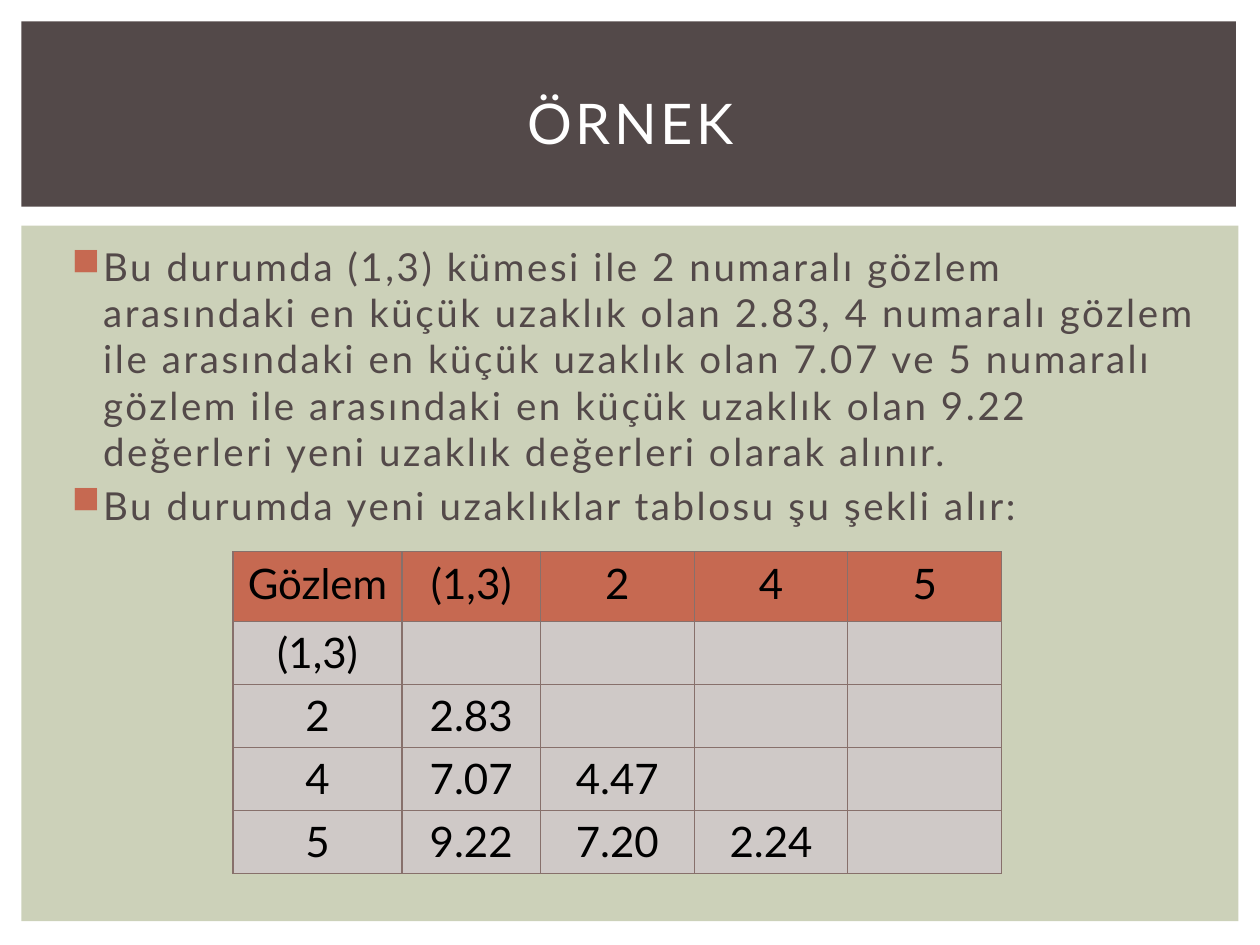
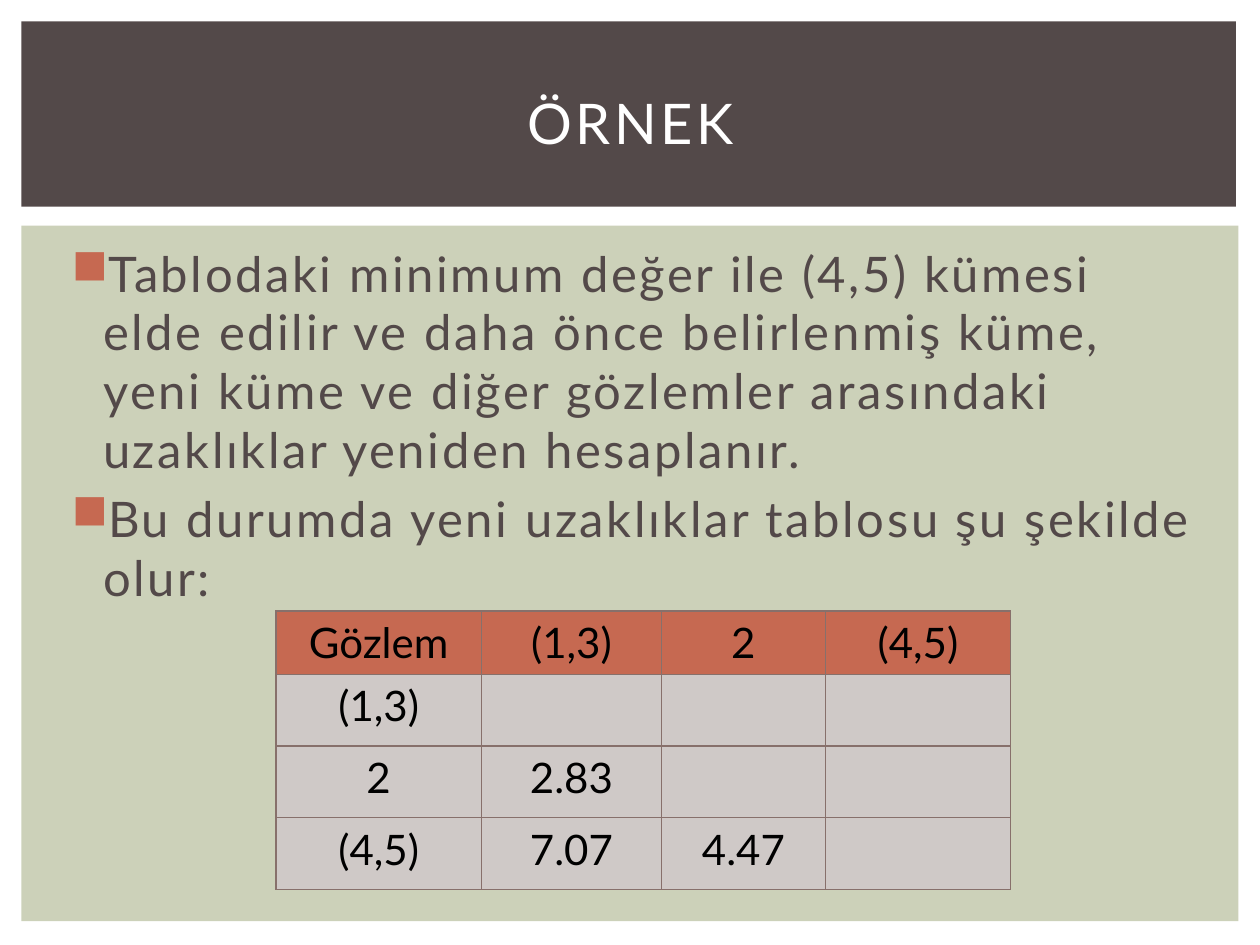
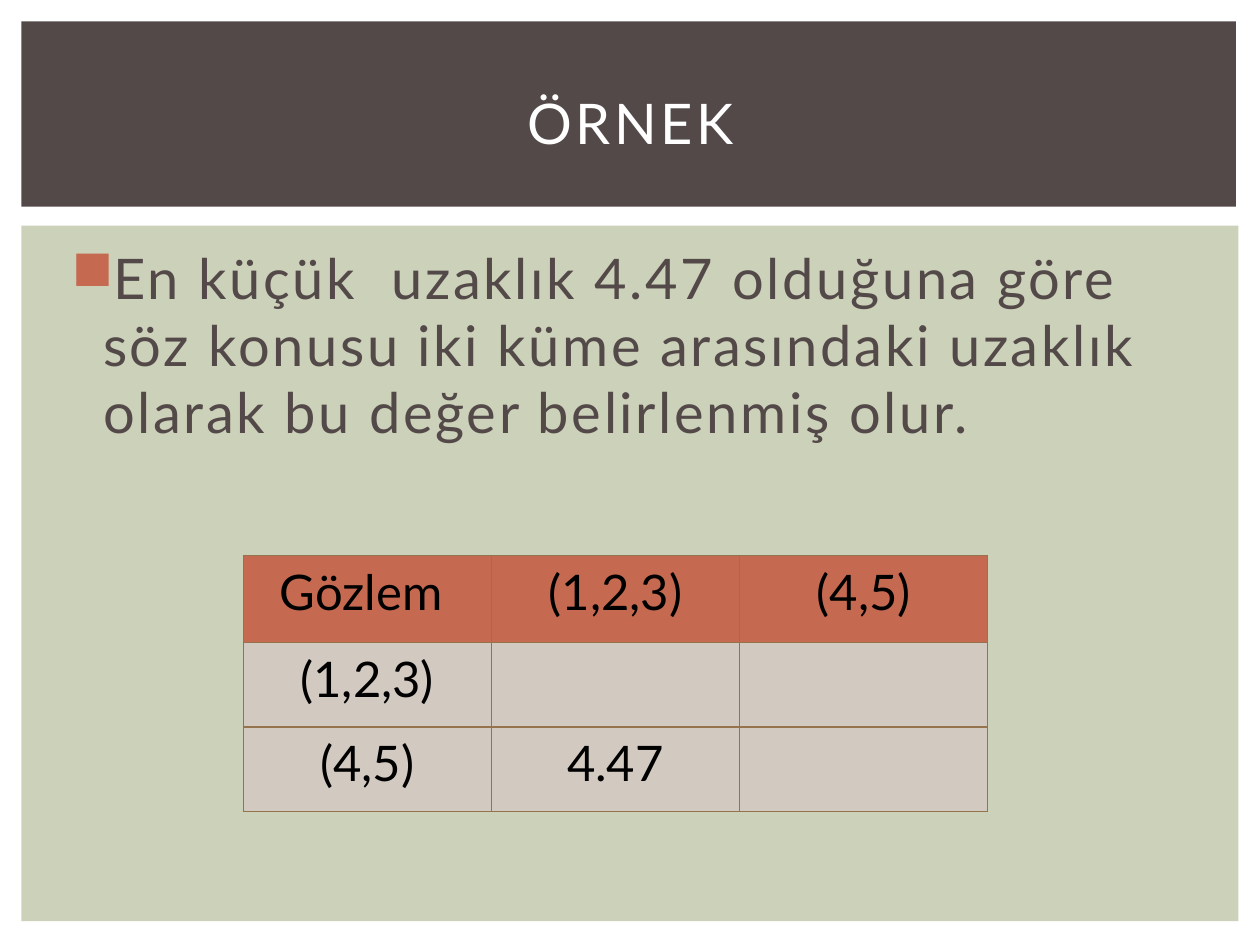
from lxml.etree import SubElement
from pptx import Presentation
from pptx.dml.color import RGBColor
from pptx.enum.shapes import MSO_SHAPE as Shape
from pptx.enum.text import MSO_ANCHOR as Anchor, PP_ALIGN as Align
from pptx.oxml.ns import qn
from pptx.util import Inches, Pt

FONT = "Lato"
COLORS = {
    "band": "534949",
    "panel": "CCD1B9",
    "accent": "C66951",
    "title": "FFFFFF",
    "body": "534949",
    "cell_text": "000000",
    "cell": "CFC9C7",
    "cell_warm": "D2C9C0",
    "border": "87706B",
    "border_warm": "94734E",
}
PANEL_BOX = (0.17, 1.79, 9.66, 5.52)
BAND_BOX = (0.17, 0.17, 9.64, 1.47)
BODY_BOX = (0.42, 1.88, 9.19, 4.82)
TITLE_BOX = (0.42, 0.39, 9.17, 1.15)


def color(name):
    """Return a named colour of the deck."""
    return RGBColor.from_string(COLORS[name])


def add_span(para, text, size, ink, spacing=0):
    """Add one run; spacing is the letter spacing in points."""
    span = para.add_run()
    span.text = text
    span.font.name = FONT
    span.font.size = Pt(size)
    span.font.color.rgb = color(ink)
    if spacing:
        span._r.get_or_add_rPr().set("spc", str(round(spacing * 100)))


def add_panel(page, box, fill):
    """Draw a plain filled rectangle."""
    panel = page.shapes.add_shape(Shape.RECTANGLE, *map(Inches, box))
    panel.shadow.inherit = False
    panel.fill.solid()
    panel.fill.fore_color.rgb = color(fill)
    panel.line.fill.background()


def add_frame(page, box):
    """Add a wrapping text box and return its text frame."""
    frame = page.shapes.add_textbox(*map(Inches, box)).text_frame
    frame.word_wrap = True
    return frame


def add_title(page, box, text):
    """Write the centred slide title."""
    frame = add_frame(page, box)
    frame.vertical_anchor = Anchor.MIDDLE
    para = frame.paragraphs[0]
    para.alignment = Align.CENTER
    add_span(para, text, 32, "title", 2)


def add_bullet(para):
    """Give a paragraph a hanging square bullet."""
    properties = para._p.get_or_add_pPr()
    properties.set("marL", str(Inches(0.3)))
    properties.set("indent", str(Inches(-0.25)))
    tint = SubElement(properties, qn("a:buClr"))
    SubElement(tint, qn("a:srgbClr"), val=COLORS["accent"])
    SubElement(properties, qn("a:buChar"), char="■")


def add_body(page, box, texts, size):
    """Write the bulleted paragraphs."""
    frame = add_frame(page, box)
    for index, text in enumerate(texts):
        para = frame.add_paragraph() if index else frame.paragraphs[0]
        para.space_before = Pt(0.2 * size)
        add_bullet(para)
        add_span(para, text, size, "body", 1.5)


def add_borders(cell, ink):
    """Draw thin lines on all four sides of a cell."""
    properties = cell._tc.get_or_add_tcPr()
    for side in ("lnL", "lnR", "lnT", "lnB"):
        line = SubElement(properties, qn(f"a:{side}"), w=str(Pt(0.79)))
        fill = SubElement(line, qn("a:solidFill"))
        SubElement(fill, qn("a:srgbClr"), val=COLORS[ink])


def add_distances(page, corner, labels, values, widths, heights,
                  size=24, fill="cell", border="border"):
    """Build a lower triangular distance table; labels head rows and columns."""
    count = len(labels)
    grid = [labels] + [[label, *row] for label, row in zip(labels[1:], values)]
    box = (*corner, sum(widths), sum(heights))
    table = page.shapes.add_table(count, count, *map(Inches, box)).table
    table.first_row = table.horz_banding = False
    for column, width in zip(table.columns, widths):
        column.width = Inches(width)
    for row, height in zip(table.rows, heights):
        row.height = Inches(height)
    for row_index, texts in enumerate(grid):
        for column_index in range(count):
            cell = table.cell(row_index, column_index)
            add_borders(cell, border)
            cell.fill.solid()
            cell.fill.fore_color.rgb = color(fill if row_index else "accent")
            if column_index < len(texts):
                para = cell.text_frame.paragraphs[0]
                para.alignment = Align.CENTER
                para.space_before = Pt(0.2 * size)
                add_span(para, texts[column_index], size, "cell_text")


def add_example(deck, texts, body_size, **distances):
    """Add one example slide: band, title, bullets and distance table."""
    page = deck.slides.add_slide(deck.slide_layouts[6])
    add_panel(page, PANEL_BOX, "panel")
    add_panel(page, BAND_BOX, "band")
    add_body(page, BODY_BOX, texts, body_size)
    add_title(page, TITLE_BOX, "ÖRNEK")
    add_distances(page, **distances)


deck = Presentation()
deck.slide_width, deck.slide_height = Inches(10), Inches(7.5)

add_example(
    deck,
    ["Bu durumda (1,3) kümesi ile 2 numaralı gözlem arasındaki en küçük "
     "uzaklık olan 2.83, 4 numaralı gözlem ile arasındaki en küçük uzaklık "
     "olan 7.07 ve 5 numaralı gözlem ile arasındaki en küçük uzaklık olan "
     "9.22 değerleri yeni uzaklık değerleri olarak alınır.",
     "Bu durumda yeni uzaklıklar tablosu şu şekli alır:"],
    22,
    corner=(1.85, 4.38),
    labels=["Gözlem", "(1,3)", "2", "4", "5"],
    values=[[], ["2.83"], ["7.07", "4.47"], ["9.22", "7.20", "2.24"]],
    widths=[1.34, 1.1] + [1.22] * 3,
    heights=[0.55] + [0.5] * 4,
)
add_example(
    deck,
    ["Tablodaki minimum değer ile (4,5) kümesi elde edilir ve daha önce "
     "belirlenmiş küme, yeni küme ve diğer gözlemler arasındaki uzaklıklar "
     "yeniden hesaplanır.",
     "Bu durumda yeni uzaklıklar tablosu şu şekilde olur:"],
    28,
    corner=(2.19, 4.85),
    labels=["Gözlem", "(1,3)", "2", "(4,5)"],
    values=[[], ["2.83"], ["7.07", "4.47"]],
    widths=[1.63, 1.43, 1.3, 1.47],
    heights=[0.5] + [0.57] * 3,
)
add_example(
    deck,
    ["En küçük  uzaklık 4.47 olduğuna göre söz konusu iki küme arasındaki "
     "uzaklık olarak bu değer belirlenmiş olur."],
    32,
    corner=(1.93, 4.41),
    labels=["Gözlem ", "(1,2,3)", "(4,5)"],
    values=[[], ["4.47"]],
    widths=[1.97] * 3,
    heights=[0.69] + [0.67] * 2,
    size=28,
    fill="cell_warm",
    border="border_warm",
)
deck.save("out.pptx")
